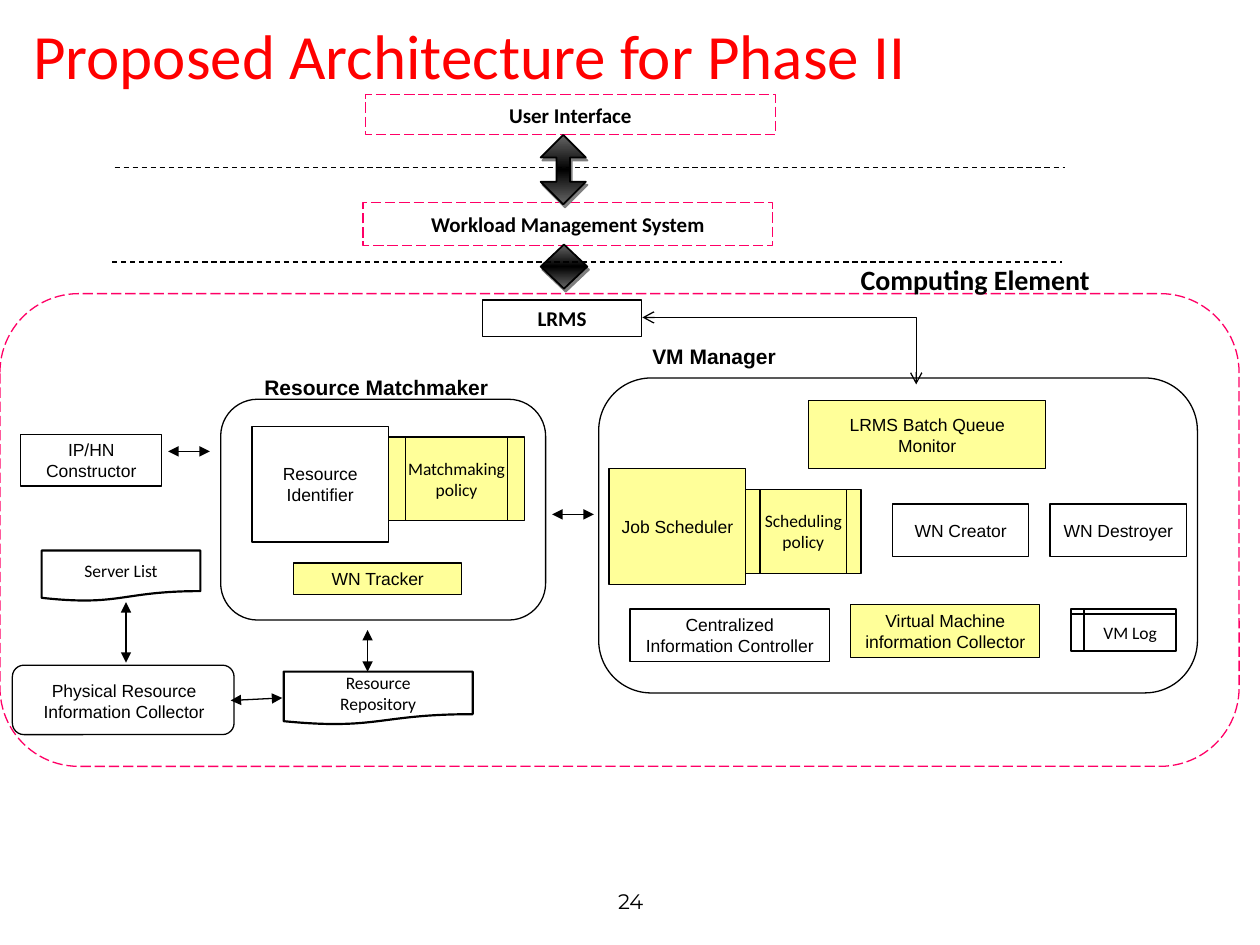
"""Build the Phase II architecture slide."""
from copy import deepcopy

from lxml import etree
from pptx import Presentation
from pptx.dml.color import RGBColor
from pptx.enum import dml, shapes, text
from pptx.oxml import ns
from pptx.util import Cm, Pt

COLORS = {
    "black": "000000", "white": "FFFFFF", "yellow": "FFFF99", "pink": "FF0066",
    "red": "FF0000", "gray": "666666", "shadow": "7F7F7F",
}
SHAPE = shapes.MSO_SHAPE
LEFT, CENTER, RIGHT = text.PP_ALIGN.LEFT, text.PP_ALIGN.CENTER, text.PP_ALIGN.RIGHT
DASH, LONG_DASH = dml.MSO_LINE.DASH, dml.MSO_LINE.LONG_DASH


def rgb(name):
    return RGBColor.from_string(COLORS[name])


def write(sp, words, font, size, bold=False, align=CENTER, color="black", wrap=True):
    tf = sp.text_frame
    tf.word_wrap = wrap
    tf.vertical_anchor = text.MSO_ANCHOR.MIDDLE
    tf.text = words
    for p in tf.paragraphs:
        p.alignment = align
        p.font.name, p.font.size, p.font.bold = font, Pt(size), bold
        p.font.color.rgb = rgb(color)


prs = Presentation()
prs.slide_width, prs.slide_height = Cm(25.4), Cm(19.05)
s = prs.slides.add_slide(prs.slide_layouts[6])

frame = (SHAPE.ROUNDED_RECTANGLE, "white", "black", 0.75, None, None)
element = (SHAPE.ROUNDED_RECTANGLE, "white", "pink", 0.75, LONG_DASH, None)
layer = (SHAPE.RECTANGLE, "white", "pink", 0.75, LONG_DASH, ("Calibri", 12, True))
lrms = (SHAPE.RECTANGLE, "white", "black", 0.75, None, ("Calibri", 12, True))
module = (SHAPE.RECTANGLE, "white", "black", 0.75, None, ("Arial", 10))
new_module = (SHAPE.RECTANGLE, "yellow", "black", 0.75, None, ("Arial", 10))
policy = (SHAPE.FLOWCHART_PREDEFINED_PROCESS, "yellow", "black", 0.75, None, ("Calibri", 10))
document = (SHAPE.FLOWCHART_DOCUMENT, None, "black", 1.25, None, ("Calibri", 10))
storage = (SHAPE.FLOWCHART_INTERNAL_STORAGE, None, "black", 1.25, None, ("Calibri", 10))

boxes = [
    (element, 0, 5.92, 24.98, 9.53, ""),
    (frame, 4.45, 8.05, 6.55, 4.45, ""),
    (frame, 12.07, 7.62, 12.07, 6.35, ""),
    (frame, 0.25, 13.41, 4.47, 1.4, ""),
    (layer, 7.37, 1.91, 8.26, 0.81, "User Interface"),
    (layer, 7.32, 4.09, 8.26, 0.86, "Workload Management System"),
    (lrms, 9.73, 6.05, 3.2, 0.74, "LRMS"),
    (document, 5.72, 13.54, 3.81, 1.07, "Resource\nRepository"),
    (document, 0.84, 11.1, 3.2, 1.02, "Server List"),
    (new_module, 5.92, 11.35, 3.39, 0.64, "WN Tracker"),
    (storage, 21.59, 12.27, 2.12, 0.85, "VM Log"),
    (new_module, 17.15, 12.19, 3.81, 1.07, "Virtual Machine information Collector"),
    (module, 21.17, 10.16, 2.75, 1.06, "WN Destroyer"),
    (module, 12.7, 12.28, 4.02, 1.06, "Centralized Information Controller"),
    (new_module, 12.28, 9.45, 2.75, 2.33, "Job Scheduler"),
    (module, 17.99, 10.16, 2.75, 1.06, "WN Creator"),
    (new_module, 16.3, 8.08, 4.78, 1.37, "LRMS Batch Queue Monitor"),
    (module, 0.42, 8.76, 2.84, 1.04, "IP/HN Constructor"),
    (policy, 15.03, 9.87, 2.33, 1.69, "Scheduling\npolicy"),
    (policy, 7.83, 8.81, 2.75, 1.69, "Matchmaking\npolicy"),
    (module, 5.08, 8.6, 2.75, 2.33, "Resource Identifier"),
]
for (kind, fill, line, width, dash, font), x, y, w, h, words in boxes:
    sp = s.shapes.add_shape(kind, Cm(x), Cm(y), Cm(w), Cm(h))
    sp.shadow.inherit = False
    if fill:
        sp.fill.solid()
        sp.fill.fore_color.rgb = rgb(fill)
    else:
        sp.fill.background()
    sp.line.color.rgb = rgb(line)
    sp.line.width = Pt(width)
    if dash:
        sp.line.dash_style = dash
    if words:
        write(sp, words, *font, wrap=kind != SHAPE.FLOWCHART_PREDEFINED_PROCESS)

for x, y, w, h in [(10.9, 2.72, 0.91, 1.4), (10.9, 4.93, 0.94, 0.89)]:
    sp = s.shapes.add_shape(SHAPE.UP_DOWN_ARROW, Cm(x), Cm(y), Cm(w), Cm(h))
    sp.adjustments[0], sp.adjustments[1] = 0.5, 0.3
    sp.fill.gradient()
    sp.fill.gradient_angle = 90
    stops = sp._element.spPr.find(".//" + ns.qn("a:gsLst"))
    stops.insert(1, deepcopy(stops[0]))
    for stop, place, color in zip(sp.fill.gradient_stops, (0, 0.5, 1), ("gray", "black", "gray")):
        stop.position = place
        stop.color.rgb = rgb(color)
    sp.line.color.rgb = rgb("black")
    sp.line.width = Pt(1)
    sp.shadow.inherit = False
    effects = sp._element.spPr.find(ns.qn("a:effectLst"))
    shadow = etree.SubElement(effects, ns.qn("a:outerShdw"), dist=str(Pt(2)), dir=str(61 * 60000))
    etree.SubElement(shadow, ns.qn("a:srgbClr"), val=COLORS["shadow"])

lines = [
    (2.31, 3.38, 21.46, 3.38, None),
    (2.26, 5.28, 21.41, 5.28, None),
    (12.95, 6.4, 18.47, 7.75, "arrow"),
    (2.54, 12.14, 2.54, 13.36, "triangle"),
    (4.65, 14.12, 5.69, 14.07, "triangle"),
    (3.39, 9.1, 4.23, 9.1, "triangle"),
    (11.13, 10.37, 11.97, 10.37, "triangle"),
    (7.41, 12.7, 7.41, 13.54, "triangle"),
]
for x1, y1, x2, y2, head in lines:
    kind = shapes.MSO_CONNECTOR.ELBOW if head == "arrow" else shapes.MSO_CONNECTOR.STRAIGHT
    c = s.shapes.add_connector(kind, Cm(x1), Cm(y1), Cm(x2), Cm(y2))
    c.line.color.rgb = rgb("black")
    c.line.width = Pt(0.75)
    if head == "arrow":
        c._element.spPr.find(ns.qn("a:prstGeom")).set("prst", "bentConnector2")
    if head:
        for end in ("a:headEnd", "a:tailEnd"):
            etree.SubElement(c.line._get_or_add_ln(), ns.qn(end), type=head)
    else:
        c.line.dash_style = DASH
    etree.SubElement(c._element.spPr, ns.qn("a:effectLst"))

labels = [
    (8.69, 17.65, 8.05, 1.02, "24", "Montserrat", 12, False, CENTER, "black"),
    (12.9, 6.78, 3.53, 0.81, "VM Manager", "Arial", 12, True, LEFT, "black"),
    (0.33, 13.49, 4.34, 1.27, "Physical Resource Information Collector", "Arial", 10, False, CENTER, "black"),
    (16.71, 5.28, 5.51, 0.71, "Computing Element", "Calibri", 16, True, RIGHT, "black"),
    (5.08, 7.19, 5.28, 1.24, "Resource Matchmaker", "Arial", 12, True, LEFT, "black"),
    (0.42, 0.2, 24.98, 1.8, "Proposed Architecture for Phase II", "Calibri", 36, False, LEFT, "red"),
]
for x, y, w, h, words, *style in labels:
    sp = s.shapes.add_textbox(Cm(x), Cm(y), Cm(w), Cm(h))
    write(sp, words, *style)

prs.save("out.pptx")
